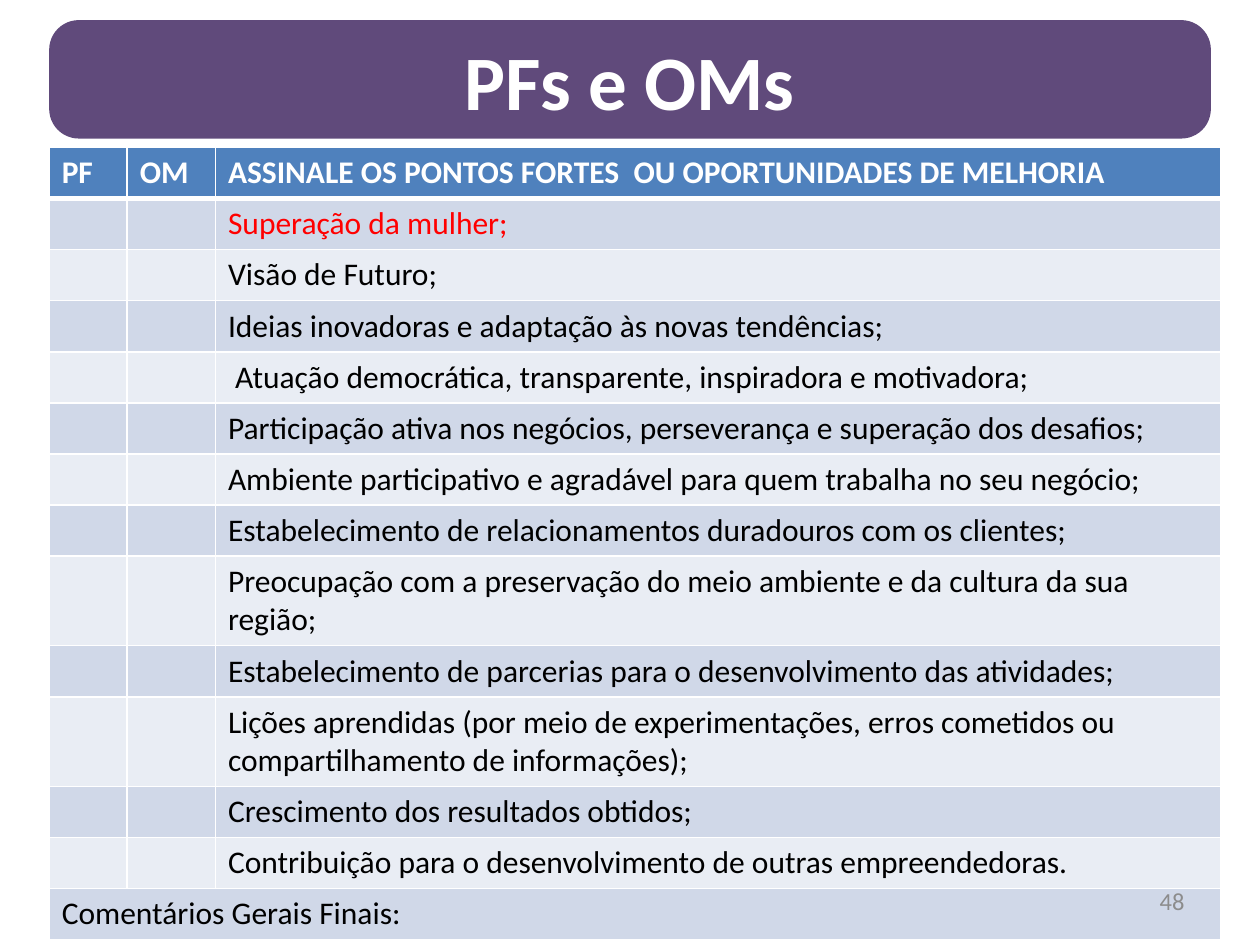
from lxml import etree
from pptx import Presentation
from pptx.dml.color import RGBColor
from pptx.enum import shapes, text
from pptx.oxml import ns
from pptx.util import Inches, Pt

WHITE = RGBColor(0xFF, 0xFF, 0xFF)
BLACK = RGBColor(0, 0, 0)
RED = RGBColor(0xFF, 0, 0)
GRAY = RGBColor(0x8C, 0x8C, 0x8C)
PURPLE = RGBColor(0x60, 0x4A, 0x7B)
BLUE = RGBColor(0x4F, 0x81, 0xBD)
BANDS = (RGBColor(0xE9, 0xED, 0xF4), RGBColor(0xD0, 0xD8, 0xE8))

HEADINGS = ("PF", "OM", "ASSINALE OS PONTOS FORTES  OU OPORTUNIDADES DE MELHORIA")
TOPICS = (
    "Superação da mulher;",
    "Visão de Futuro;",
    "Ideias inovadoras e adaptação às novas tendências;",
    " Atuação democrática, transparente, inspiradora e motivadora;",
    "Participação ativa nos negócios, perseverança e superação dos desafios;",
    "Ambiente participativo e agradável para quem trabalha no seu negócio;",
    "Estabelecimento de relacionamentos duradouros com os clientes;",
    "Preocupação com a preservação do meio ambiente e da cultura da sua região;",
    "Estabelecimento de parcerias para o desenvolvimento das atividades;",
    "Lições aprendidas (por meio de experimentações, erros cometidos ou "
    "compartilhamento de informações);",
    "Crescimento dos resultados obtidos;",
    "Contribuição para o desenvolvimento de outras empreendedoras.",
)
COLUMN_WIDTHS = (0.62, 0.7, 7.98)
TWO_LINE_ROWS = (8, 10)


def write(frame, words, size, color, bold=False, align=None):
    paragraph = frame.paragraphs[0]
    paragraph.alignment = align
    run = paragraph.add_run()
    run.text = words
    for name, value in {"name": "Calibri", "size": Pt(size), "bold": bold}.items():
        setattr(run.font, name, value)
    run.font.color.rgb = color


def add_border(cell, side, points):
    """Draw a white line on side L, R, T or B; call before filling the cell."""
    line = etree.SubElement(cell._tc.get_or_add_tcPr(), ns.qn(f"a:ln{side}"),
                            w=str(Pt(points)))
    fill = etree.SubElement(line, ns.qn("a:solidFill"))
    etree.SubElement(fill, ns.qn("a:srgbClr"), val=str(WHITE))


presentation = Presentation()
presentation.slide_width = Inches(10)
presentation.slide_height = Inches(7.5)
slide = presentation.slides.add_slide(presentation.slide_layouts[6])

# Title banner
banner = slide.shapes.add_shape(shapes.MSO_SHAPE.ROUNDED_RECTANGLE, Inches(0.39),
                                Inches(0.16), Inches(9.22), Inches(0.94))
banner.adjustments[0] = 0.25
banner.shadow.inherit = False
banner.fill.solid()
banner.fill.fore_color.rgb = PURPLE
banner.line.fill.background()
banner.text_frame.vertical_anchor = text.MSO_ANCHOR.MIDDLE
write(banner.text_frame, "PFs e OMs", 44, WHITE, True, text.PP_ALIGN.CENTER)

# Checklist: headings, one row per topic, closing comments
rows = [HEADINGS, *(("", "", topic) for topic in TOPICS),
        ("Comentários Gerais Finais:", "", "")]
last = len(rows) - 1
checklist = slide.shapes.add_table(len(rows), 3, Inches(0.39), Inches(1.17),
                                   Inches(9.3), Inches(6.2)).table
for column, width in zip(checklist.columns, COLUMN_WIDTHS):
    column.width = Inches(width)

for r, row in enumerate(rows):
    checklist.rows[r].height = Inches(0.7 if r in TWO_LINE_ROWS else 0.4)
    for c, words in enumerate(row):
        cell = checklist.cell(r, c)
        for side in "LRTB":
            under_heading = (r, side) in ((0, "B"), (1, "T"))
            add_border(cell, side, 3 if under_heading else 1)
        cell.fill.solid()
        cell.fill.fore_color.rgb = BANDS[r % 2] if r else BLUE
        if r == 0:
            cell.vertical_anchor = text.MSO_ANCHOR.MIDDLE
        if words:
            color = {0: WHITE, 1: RED}.get(r, BLACK)
            write(cell.text_frame, words, 18, color, bold=r == 0)
checklist.cell(last, 0).merge(checklist.cell(last, 2))

# Page number
page_number = slide.shapes.add_textbox(Inches(7.17), Inches(6.95),
                                       Inches(2.33), Inches(0.4)).text_frame
page_number.word_wrap = True
page_number.vertical_anchor = text.MSO_ANCHOR.MIDDLE
write(page_number, "48", 14, GRAY, align=text.PP_ALIGN.RIGHT)

presentation.save("out.pptx")
